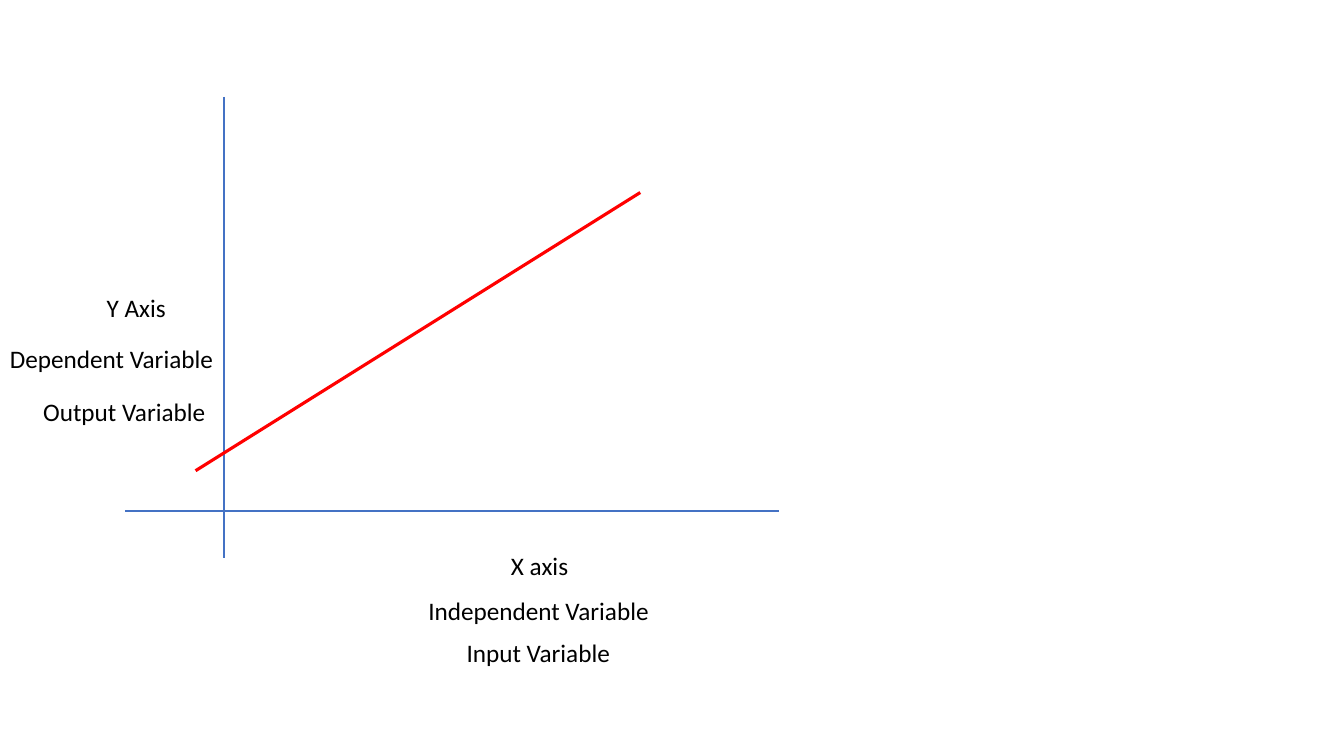
import pptx
import pptx.util
import pptx.dml.color
import pptx.enum.shapes
import pptx.enum.text
import pptx.oxml
from pptx.util import Inches

BLUE = pptx.dml.color.RGBColor(0x44, 0x72, 0xC4)
RED = pptx.dml.color.RGBColor(0xFF, 0x00, 0x00)
BLACK = pptx.dml.color.RGBColor(0x00, 0x00, 0x00)

deck = pptx.Presentation()
deck.slide_width = Inches(13.33)
deck.slide_height = Inches(7.5)
slide = deck.slides.add_slide(deck.slide_layouts[6])


def add_line(start, end, color, weight):
    line = slide.shapes.add_connector(
        pptx.enum.shapes.MSO_CONNECTOR.STRAIGHT,
        Inches(start[0]), Inches(start[1]), Inches(end[0]), Inches(end[1]))
    line.line.color.rgb = color
    line.line.width = pptx.util.Pt(weight)
    line._element.spPr.append(pptx.oxml.parse_xml(
        '<a:effectLst xmlns:a="http://schemas.openxmlformats.org/drawingml/2006/main"/>'))


# Axes
add_line((2.22, 0.96), (2.22, 5.54), BLUE, 1.5)
add_line((1.24, 5.07), (7.73, 5.07), BLUE, 1.5)

# Axis labels: text, left, top, width
labels = [
    ("X axis", 4.97, 5.41, 0.77),
    ("Y Axis", 0.96, 2.85, 0.79),
    ("Independent Variable", 4.15, 5.86, 2.42),
    ("Dependent Variable", 0, 3.36, 2.24),
    ("Input Variable", 4.53, 6.27, 1.64),
    ("Output Variable", 0.33, 3.88, 1.83),
]
for text, left, top, width in labels:
    box = slide.shapes.add_textbox(
        Inches(left), Inches(top), Inches(width), Inches(0.4))
    frame = box.text_frame
    frame.word_wrap = False
    frame.auto_size = pptx.enum.text.MSO_AUTO_SIZE.SHAPE_TO_FIT_TEXT
    label = frame.paragraphs[0]
    label.text = text
    label.font.name = "Calibri"
    label.font.size = pptx.util.Pt(18)
    label.font.color.rgb = BLACK

# Regression line
add_line((1.94, 4.67), (6.35, 1.91), RED, 2.25)

deck.save("out.pptx")
